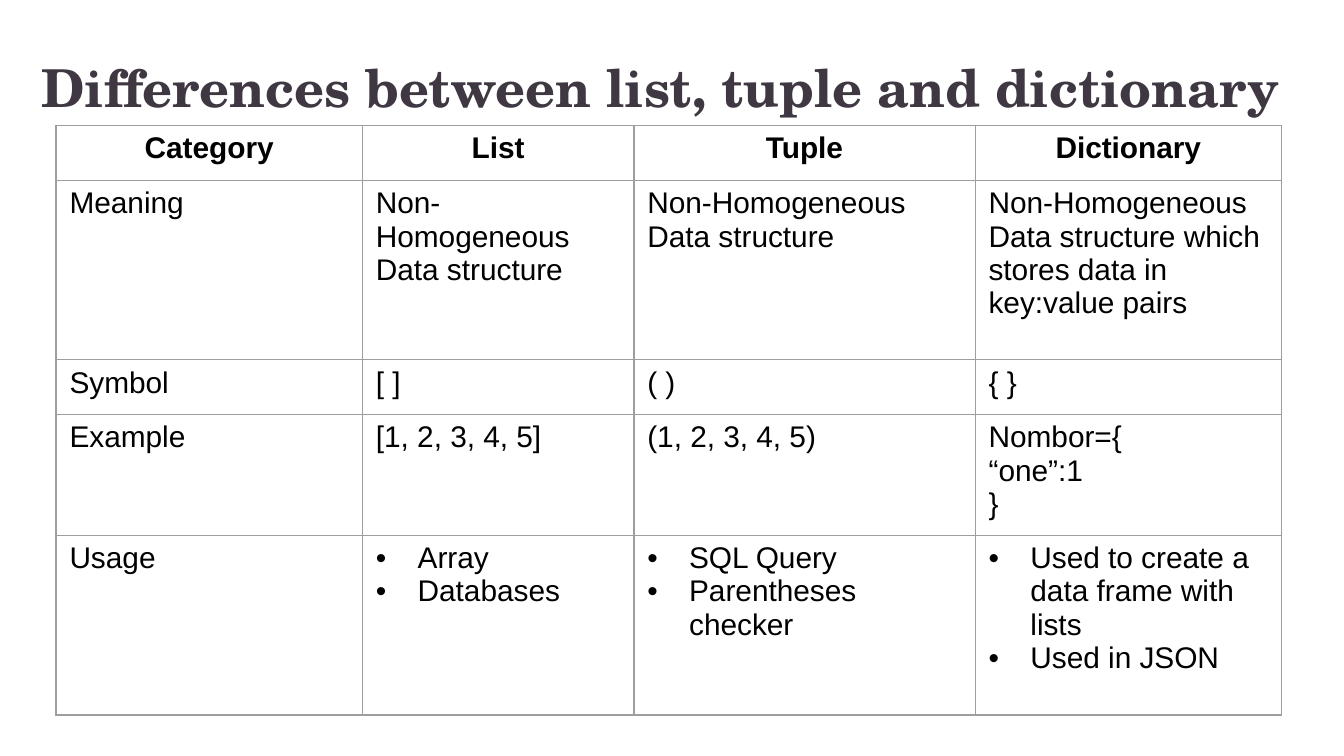
from lxml import etree
from pptx import Presentation
from pptx.dml.color import RGBColor
from pptx.enum.text import MSO_ANCHOR, PP_ALIGN
from pptx.oxml.ns import qn
from pptx.util import Cm, Pt

TOP = MSO_ANCHOR.TOP
LEFT, CENTER = PP_ALIGN.LEFT, PP_ALIGN.CENTER
COLORS = {"title": "3F3742", "text": "000000", "border": "9E9E9E"}
BULLET = "•"
COL_WIDTHS = [5.79, 5.13, 6.45, 5.79]
ROW_HEIGHTS = [1.04, 3.39, 1.03, 2.14, 3.4]
ROWS = [
    ["Category", "List", "Tuple", "Dictionary"],
    ["Meaning", "Non-Homogeneous Data structure", "Non-Homogeneous Data structure",
     "Non-Homogeneous Data structure which stores data in key:value pairs"],
    ["Symbol", "[ ]", "( )", "{ }"],
    ["Example", "[1, 2, 3, 4, 5]", "(1, 2, 3, 4, 5)", "Nombor={\n“one”:1\n}"],
    ["Usage", ["Array", "Databases"], ["SQL Query", "Parentheses checker"],
     ["Used to create a data frame with lists", "Used in JSON"]],
]


class SlideBuilder:
    """Holds the text style and the slide, and adds elements to it."""

    def __init__(self, slide, font="Arial", size=16):
        self.s = slide
        self.font = font
        self.size = size

    def format_runs(self, p, font, size, color, bold):
        for r in p.runs:
            r.font.name = font
            r.font.size = Pt(size)
            r.font.bold = bold
            r.font.color.rgb = RGBColor.from_string(COLORS[color])

    def title(self, text, left, top, width, height):
        sp = self.s.shapes.add_textbox(Cm(left), Cm(top), Cm(width), Cm(height))
        tf = sp.text_frame
        tf.word_wrap = True
        tf.vertical_anchor = TOP
        tf.margin_left = tf.margin_right = tf.margin_top = tf.margin_bottom = Cm(0.25)
        tf.text = text
        self.format_runs(tf.paragraphs[0], "TeX Gyre Schola", 28, "title", True)

    def bullet(self, p):
        pPr = p._p.get_or_add_pPr()
        pPr.set("marL", str(Cm(0.79)))
        pPr.set("indent", str(-Cm(0.79)))
        etree.SubElement(pPr, qn("a:buFont"), typeface=self.font)
        etree.SubElement(pPr, qn("a:buChar"), char=BULLET)

    def borders(self, cell):
        tcPr = cell._tc.get_or_add_tcPr()
        for i, side in enumerate(("lnL", "lnR", "lnT", "lnB")):
            ln = etree.Element(qn(f"a:{side}"), w=str(Pt(0.75)))
            fill = etree.SubElement(ln, qn("a:solidFill"))
            etree.SubElement(fill, qn("a:srgbClr"), val=COLORS["border"])
            tcPr.insert(i, ln)

    def cell(self, cell, content, header):
        bulleted = isinstance(content, list)
        cell.fill.background()
        self.borders(cell)
        tf = cell.text_frame
        tf.text = "\n".join(content) if bulleted else content
        for p in tf.paragraphs:
            p.alignment = CENTER if header else LEFT
            self.format_runs(p, self.font, self.size, "text", header)
            if bulleted:
                self.bullet(p)

    def table(self, rows, left, top, widths, heights):
        table = self.s.shapes.add_table(
            len(rows), len(widths), Cm(left), Cm(top), Cm(sum(widths)), Cm(sum(heights))
        ).table
        table.first_row = table.horz_banding = False
        for col, width in zip(table.columns, widths):
            col.width = Cm(width)
        for i, (row, height) in enumerate(zip(rows, heights)):
            table.rows[i].height = Cm(height)
            for j, content in enumerate(row):
                self.cell(table.cell(i, j), content, header=i == 0)


def main():
    prs = Presentation()
    prs.slide_width, prs.slide_height = Cm(25.4), Cm(14.29)
    builder = SlideBuilder(prs.slides.add_slide(prs.slide_layouts[6]))
    builder.title("Differences between list, tuple and dictionary", 0.53, 0.79, 24.87, 1.6)
    builder.table(ROWS, 1.06, 2.37, COL_WIDTHS, ROW_HEIGHTS)
    prs.save("out.pptx")


if __name__ == "__main__":
    main()
